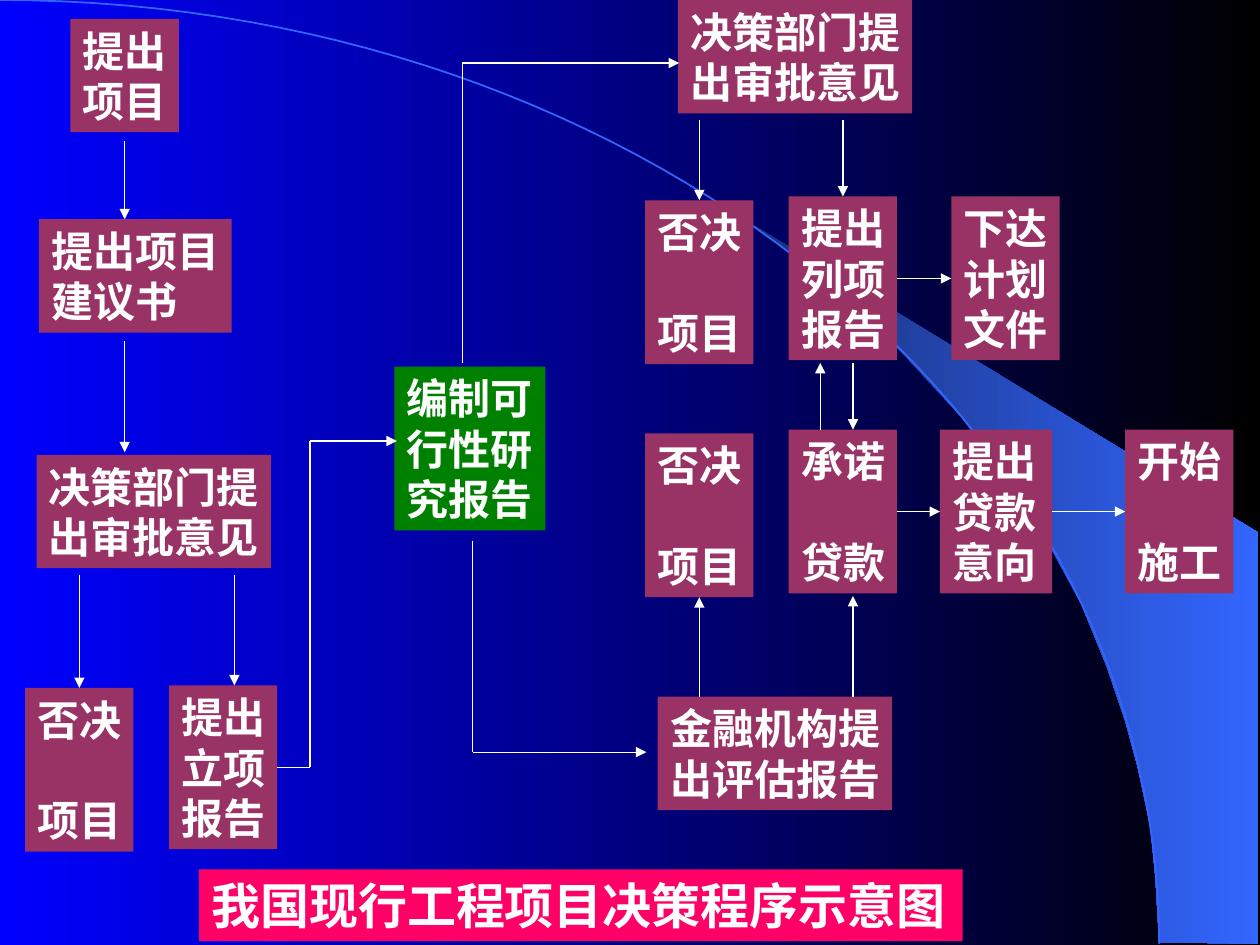
from lxml import etree
from pptx import Presentation
from pptx.dml.color import RGBColor
from pptx.enum import shapes, text
from pptx.oxml.ns import qn
from pptx.util import Inches, Pt

COLORS = {
    "step": "993366", "study": "008000", "title": "FF0066", "white": "FFFFFF",
    "blue": "0000FF", "black": "000000", "navy": "182F76", "sky": "3366FF",
}
FONT = "Times New Roman"
LINE_HEIGHT = 0.4
TOP, LEFT, BOTTOM, RIGHT = range(4)

# key: (left, top, width, rows of height, lines of text)
STEPS = {
    "propose": (0.56, 0.15, 0.86, 2, ["提出", "项目"]),
    "proposal": (0.31, 1.74, 1.53, 2, ["提出项目", "建议书"]),
    "review": (0.29, 3.61, 1.86, 2, ["决策部门提", "出审批意见"]),
    "veto": (0.20, 5.46, 0.86, 3, ["否决", "项目"]),
    "initiation": (1.34, 5.44, 0.86, 3, ["提出", "立项", "报告"]),
    "final review": (5.38, 0, 1.86, 2, ["决策部门提", "出审批意见"]),
    "final veto": (5.12, 1.59, 0.86, 3, ["否决", "项目"]),
    "listing": (6.26, 1.56, 0.86, 3, ["提出", "列项", "报告"]),
    "plan": (7.55, 1.56, 0.86, 3, ["下达", "计划", "文件"]),
    "loan veto": (5.12, 3.44, 0.86, 3, ["否决", "项目"]),
    "loan promise": (6.26, 3.41, 0.86, 3, ["承诺", "贷款"]),
    "loan intent": (7.46, 3.41, 0.89, 3, ["提出", "贷款", "意向"]),
    "start": (8.93, 3.41, 0.86, 3, ["开始", "施工"]),
    "appraisal": (5.22, 5.53, 1.86, 2, ["金融机构提", "出评估报告"]),
    "study": (3.13, 2.91, 1.20, 3, ["编制可", "行性研", "究报告"]),
}
TITLE = "我国现行工程项目决策程序示意图"

# Each route runs through points (x, y) or joins (step, side); its end has the arrowhead
ROUTES = [
    [(0.99, 1.12), (0.99, 1.74)],
    [(0.99, 2.71), (0.99, 3.59)],
    [(0.63, 4.56), ("veto", TOP)],
    [(1.86, 4.56), (1.86, 5.44)],
    [(5.55, 0.95), ("final veto", TOP)],
    [(6.69, 0.95), ("listing", TOP)],
    [("listing", RIGHT), ("plan", LEFT)],
    [(6.51, 3.41), (6.51, 2.88)],
    [(6.77, 2.88), (6.77, 3.41)],
    [("loan promise", RIGHT), ("loan intent", LEFT)],
    [("loan intent", RIGHT), ("start", LEFT)],
    [(5.55, 5.53), ("loan veto", BOTTOM)],
    [(6.77, 5.53), (6.77, 4.73)],
    [(3.75, 4.29), (3.75, 5.97), (5.13, 5.97)],
    [("initiation", RIGHT), (2.46, 6.09), (2.46, 3.5), (3.15, 3.5)],
    [(3.67, 2.88), (3.67, 0.5), (5.39, 0.5)],
]

WEDGE = [
    (9.2, 7.48), (9.99, 7.49), (9.99, 4.23), (5.89, 1.73), (6.24, 1.99),
    (6.53, 2.22), (6.85, 2.5), (7.16, 2.8), (7.62, 3.3), (8.03, 3.84),
    (8.32, 4.31), (8.58, 4.79), (8.78, 5.28), (8.93, 5.72), (9.03, 6.09),
    (9.13, 6.56), (9.17, 6.96),
]
ARC = [(0, 0), (5.08, 0), (9.2, 3.35), (9.2, 7.49)]  # Bezier control points


def rgb(name):
    return RGBColor.from_string(COLORS[name])


def grade(fill, *names):
    """Gradient from left to right."""
    fill.gradient()
    fill.gradient_angle = 0
    for stop, name in zip(fill.gradient_stops, names):
        stop.color.rgb = rgb(name)


def bezier(controls, steps=60):
    for i in range(steps + 1):
        t = i / steps
        weights = ((1 - t) ** 3, 3 * t * (1 - t) ** 2, 3 * t * t * (1 - t), t ** 3)
        yield tuple(sum(w * c[axis] for w, c in zip(weights, controls)) for axis in (0, 1))


def add_outline(slide, points, close):
    start, *rest = [(Inches(x), Inches(y)) for x, y in points]
    builder = slide.shapes.build_freeform(*start)
    builder.add_line_segments(rest, close=close)
    outline = builder.convert_to_shape()
    outline.shadow.inherit = False
    return outline


def add_box(slide, left, top, width, height, lines, color, size=24, gap=0, wrap=False):
    box = slide.shapes.add_shape(shapes.MSO_SHAPE.RECTANGLE,
                                 *map(Inches, (left, top, width, height)))
    box.shadow.inherit = False
    box.fill.solid()
    box.fill.fore_color.rgb = rgb(color)
    box.line.fill.background()
    frame = box.text_frame
    frame.word_wrap = wrap
    frame.vertical_anchor = text.MSO_ANCHOR.TOP
    for i, line in enumerate(lines):
        paragraph = frame.add_paragraph() if i else frame.paragraphs[0]
        paragraph.text = line
        paragraph.alignment = text.PP_ALIGN.LEFT
        if i and gap:
            paragraph.space_before = Inches(gap)
        font = paragraph.font
        font.name, font.size, font.bold = FONT, Pt(size), True
        font.color.rgb = rgb("white")
    return box


def place(stop):
    """Coordinates of a route stop, whether a point or a join."""
    if not isinstance(stop[0], str):
        return stop
    key, side = stop
    left, top, width, rows, _ = STEPS[key]
    height = 0.1 + rows * LINE_HEIGHT
    across, down = {TOP: (0.5, 0), LEFT: (0, 0.5), BOTTOM: (0.5, 1), RIGHT: (1, 0.5)}[side]
    return left + across * width, top + down * height


def add_route(slide, route, boxes):
    for begin, end in zip(route, route[1:]):
        line = slide.shapes.add_connector(shapes.MSO_CONNECTOR.STRAIGHT,
                                          *map(Inches, place(begin) + place(end)))
        line.line.color.rgb = rgb("white")
        line.line.width = Pt(0.75)
        for stop, connect in ((begin, line.begin_connect), (end, line.end_connect)):
            if isinstance(stop[0], str):
                connect(boxes[stop[0]], stop[1])
        etree.SubElement(line._element.spPr, qn("a:effectLst"))
    etree.SubElement(line.line._get_or_add_ln(), qn("a:tailEnd"), type="triangle")


def main():
    prs = Presentation()
    prs.slide_width, prs.slide_height = Inches(10), Inches(7.5)
    slide = prs.slides.add_slide(prs.slide_layouts[6])
    grade(slide.background.fill, "blue", "black")

    wedge = add_outline(slide, WEDGE, close=True)
    grade(wedge.fill, "navy", "sky")
    wedge.line.fill.background()
    arc = add_outline(slide, bezier(ARC), close=False)
    arc.fill.background()
    arc.line.color.rgb = rgb("sky")
    arc.line.width = Pt(1)

    boxes = {}
    for key, (left, top, width, rows, lines) in STEPS.items():
        boxes[key] = add_box(slide, left, top, width, 0.1 + rows * LINE_HEIGHT, lines,
                             "study" if key == "study" else "step",
                             gap=(rows - len(lines)) * LINE_HEIGHT)
    for route in ROUTES:
        add_route(slide, route, boxes)
    add_box(slide, 1.58, 6.9, 6.06, 0.57, [TITLE], "title", size=28, wrap=True)
    prs.save("out.pptx")


if __name__ == "__main__":
    main()
